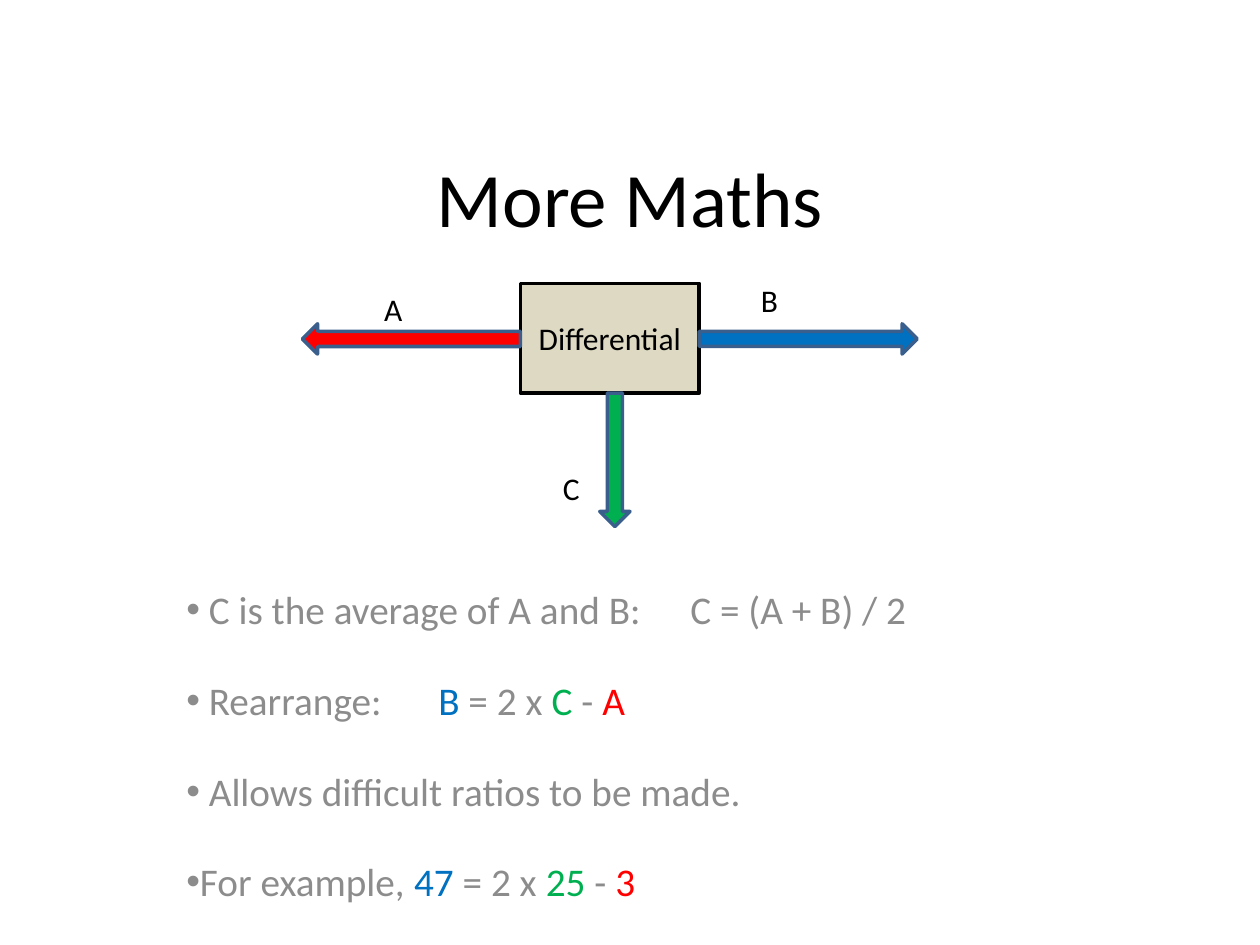
from typing import NamedTuple

from lxml import etree
from pptx import Presentation
from pptx.dml.color import RGBColor
from pptx.enum import shapes, text
from pptx.oxml import ns
from pptx.util import Inches, Pt

FONT = "Calibri"
BLACK, GREY = "000000", "8C8C8C"
RED, GREEN, BLUE = "FF0000", "00B050", "0070C0"
ARROW_LINE, BOX_FILL = "3A5F8C", "DDD9C3"


class Box(NamedTuple):
    left: float
    top: float
    width: float
    height: float


class Shaft(NamedTuple):
    label: str
    color: str
    box: Box
    rotation: int
    label_left: float
    label_top: float


class Part(NamedTuple):
    words: str
    color: str = GREY


SHAFTS = [
    Shaft("B", BLUE, Box(5.55, 2.57, 1.73, 0.24), 0, 5.94, 2.18),
    Shaft("A", RED, Box(2.4, 2.57, 1.73, 0.24), 180, 2.95, 2.25),
    Shaft("C", GREEN, Box(4.35, 3.53, 1.06, 0.24), 90, 4.37, 3.67),
]


def equation(b: str, c: str, a: str) -> list[Part]:
    return [Part(b, BLUE), Part(" = 2 x "), Part(c, GREEN), Part(" - "), Part(a, RED)]


POINTS = [
    [Part(" C is the average of A and B:\tC = (A + B) / 2")],
    [Part(" Rearrange:\t"), *equation("B", "C", "A")],
    [Part(" Allows difficult ratios to be made.")],
    [Part("For example, "), *equation("47", "25", "3")],
]


def rgb(color: str) -> RGBColor:
    return RGBColor.from_string(color)


def inches(box: Box) -> list[int]:
    return [Inches(length) for length in box]


def add_run(paragraph, words: str, size: float, color: str) -> None:
    run = paragraph.add_run()
    run.text = words
    run.font.name = FONT
    run.font.size = Pt(size)
    run.font.color.rgb = rgb(color)


def add_block(slide, kind, box: Box, fill: str, line: str):
    block = slide.shapes.add_shape(kind, *inches(box))
    block.shadow.inherit = False
    block.fill.solid()
    block.fill.fore_color.rgb = rgb(fill)
    block.line.color.rgb = rgb(line)
    block.line.width = Pt(2)
    return block


def add_frame(slide, box: Box):
    frame = slide.shapes.add_textbox(*inches(box)).text_frame
    frame.word_wrap = True
    return frame


def add_title(slide, words: str) -> None:
    title = slide.shapes.title
    title.left, title.top, title.width, title.height = inches(Box(0.75, 0.76, 8.5, 1.61))
    title.text_frame.vertical_anchor = text.MSO_ANCHOR.MIDDLE
    heading = title.text_frame.paragraphs[0]
    heading.alignment = text.PP_ALIGN.CENTER
    add_run(heading, words, 44, BLACK)


def add_differential(slide) -> None:
    housing = add_block(slide, shapes.MSO_SHAPE.RECTANGLE,
                        Box(4.13, 2.25, 1.42, 0.87), BOX_FILL, BLACK)
    housing.text_frame.vertical_anchor = text.MSO_ANCHOR.MIDDLE
    caption = housing.text_frame.paragraphs[0]
    caption.alignment = text.PP_ALIGN.CENTER
    add_run(caption, "Differential", 18, BLACK)


def add_shaft(slide, shaft: Shaft) -> None:
    arrow = add_block(slide, shapes.MSO_SHAPE.RIGHT_ARROW, shaft.box, shaft.color, ARROW_LINE)
    arrow.rotation = shaft.rotation
    frame = add_frame(slide, Box(shaft.label_left, shaft.label_top, 0.47, 0.4))
    add_run(frame.paragraphs[0], shaft.label, 18, BLACK)


def add_points(slide, points: list[list[Part]]) -> None:
    frame = add_frame(slide, Box(1.38, 4.3, 8.19, 2.99))
    for index, parts in enumerate(points):
        point = frame.add_paragraph() if index else frame.paragraphs[0]
        point.line_spacing = 1.8
        point.space_before = Pt(3.5 if index else 0)
        properties = point._p.get_or_add_pPr()
        properties.set("marL", "0")
        properties.set("indent", "0")
        etree.SubElement(properties, ns.qn("a:buFont")).set("typeface", "Arial")
        etree.SubElement(properties, ns.qn("a:buChar")).set("char", "•")
        for part in parts:
            add_run(point, part.words, 22.4, part.color)


def main() -> None:
    deck = Presentation()
    deck.slide_width, deck.slide_height = Inches(10), Inches(7.5)
    slide = deck.slides.add_slide(deck.slide_layouts[5])
    add_title(slide, "More Maths")
    add_points(slide, POINTS)
    add_differential(slide)
    for shaft in SHAFTS:
        add_shaft(slide, shaft)
    deck.save("out.pptx")


if __name__ == "__main__":
    main()
